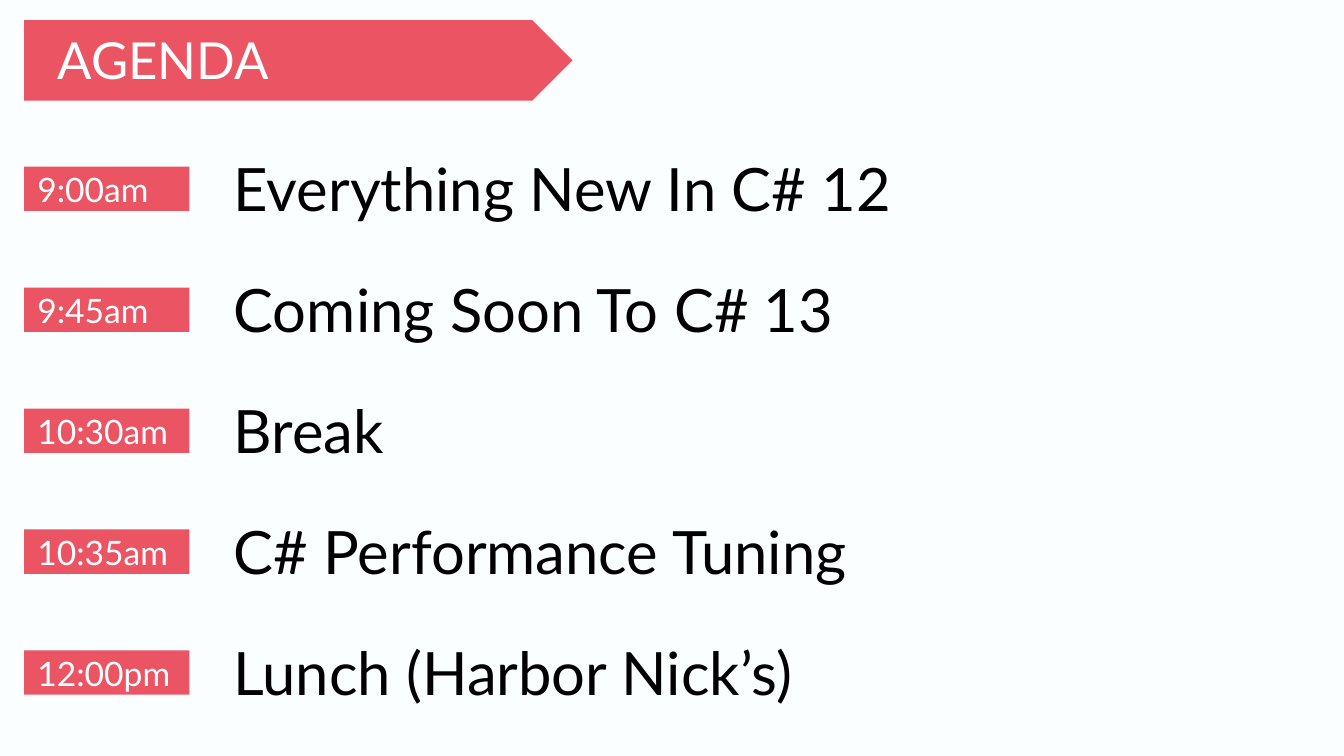
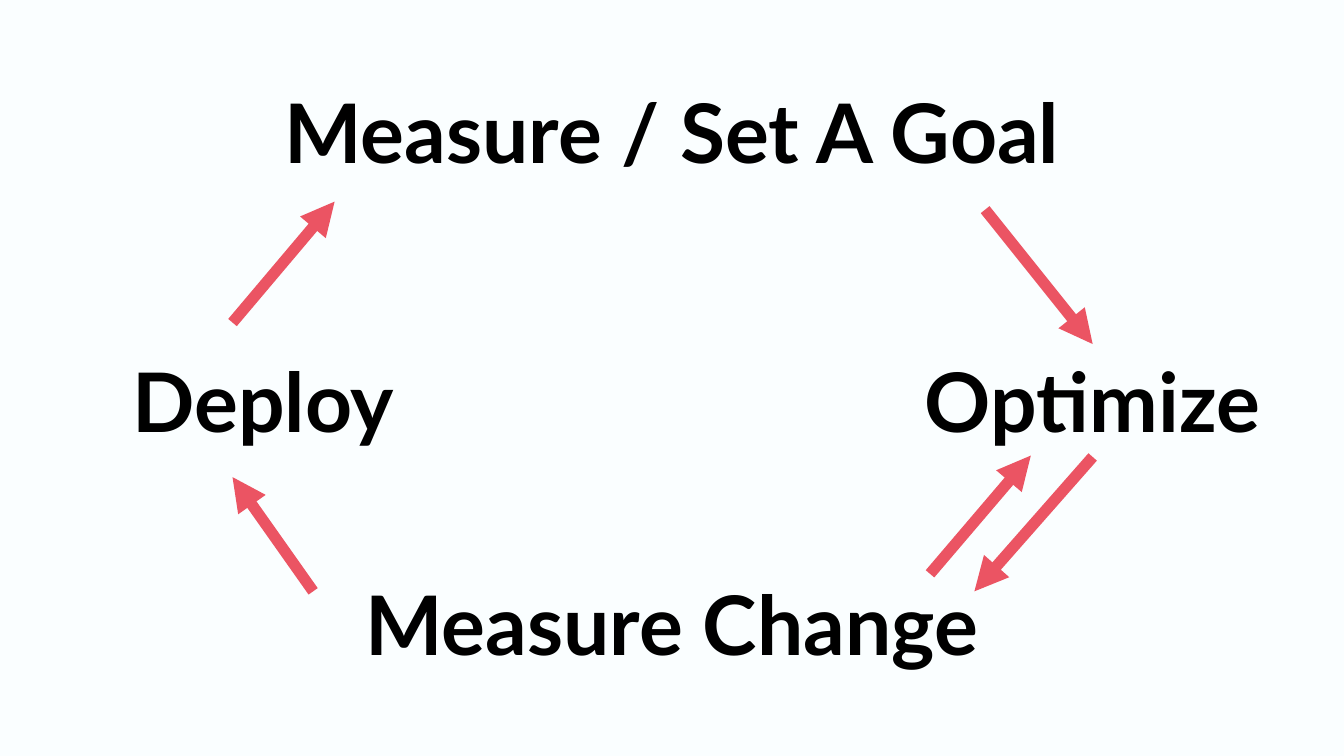
from lxml import etree
from pptx import Presentation
from pptx.dml.color import RGBColor
from pptx.enum.shapes import MSO_CONNECTOR, MSO_SHAPE
from pptx.enum.text import MSO_ANCHOR, MSO_AUTO_SIZE, PP_ALIGN
from pptx.oxml.ns import qn
from pptx.util import Inches, Pt

# Shared look
ACCENT = "EB5463"
BACKGROUND = "FAFEFF"
BLACK = "000000"
WHITE = "FFFFFF"
FONT = "Lato"

# Layout indexes in the default template
TITLE_ONLY, BLANK = 5, 6

# Connection sites of a rectangle
TOP, BOTTOM = 0, 2

AGENDA = [
    ("9:00am", "Everything New In C# 12"),
    ("9:45am", "Coming Soon To C# 13"),
    ("10:30am", "Break"),
    ("10:35am", "C# Performance Tuning"),
    ("12:00pm", "Lunch (Harbor Nick’s)"),
]
ROW_PITCH = 0.9


def color(hex_string):
    return RGBColor.from_string(hex_string)


def write_text(shape, text, size, font_color, align=PP_ALIGN.LEFT,
               anchor=MSO_ANCHOR.TOP, bold=False):
    frame = shape.text_frame
    frame.text = text
    frame.word_wrap = True
    frame.vertical_anchor = anchor
    paragraph = frame.paragraphs[0]
    paragraph.alignment = align
    font = paragraph.font
    font.name = FONT
    font.size = Pt(size)
    font.bold = bold
    font.color.rgb = color(font_color)


def add_block(slide, kind, left, top, width, height):
    """Add a plain accent-coloured shape."""
    block = slide.shapes.add_shape(
        kind, Inches(left), Inches(top), Inches(width), Inches(height))
    block.shadow.inherit = False
    block.fill.solid()
    block.fill.fore_color.rgb = color(ACCENT)
    block.line.fill.background()
    return block


def add_label(slide, text, left, top, width, height, size, **style):
    label = slide.shapes.add_textbox(
        Inches(left), Inches(top), Inches(width), Inches(height))
    write_text(label, text, size, BLACK, **style)
    label.text_frame.auto_size = MSO_AUTO_SIZE.SHAPE_TO_FIT_TEXT
    return label


def add_title_banner(slide, text):
    """Place the title on an arrow-shaped band."""
    title = slide.shapes.title
    title.left, title.top = Inches(0.33), Inches(0.14)
    title.width, title.height = Inches(3.93), Inches(0.6)
    write_text(title, text, 27.3, WHITE, anchor=MSO_ANCHOR.MIDDLE)
    title.text_frame.auto_size = MSO_AUTO_SIZE.NONE
    banner = add_block(slide, MSO_SHAPE.PENTAGON, 0.18, 0.15, 4.08, 0.6)
    title._element.addprevious(banner._element)  # band behind the title


def add_agenda_row(slide, top, time, topic):
    add_label(slide, topic, 1.64, top, 5.11, 0.64, 32)
    tag = add_block(slide, MSO_SHAPE.RECTANGLE, 0.18, top + 0.16, 1.23, 0.33)
    write_text(tag, time, 18, WHITE, anchor=MSO_ANCHOR.MIDDLE)


def add_step(slide, text, left, top, width):
    return add_label(slide, text, left, top, width, 0.84, 44,
                     align=PP_ALIGN.CENTER, bold=True)


def add_arrow(slide, start, end):
    points = [Inches(value) for value in (*start, *end)]
    arrow = slide.shapes.add_connector(MSO_CONNECTOR.STRAIGHT, *points)
    arrow.line.color.rgb = color(ACCENT)
    arrow.line.width = Pt(6)
    line = arrow.line._get_or_add_ln()
    etree.SubElement(line, qn("a:tailEnd"), type="triangle")
    etree.SubElement(arrow._element.spPr, qn("a:effectLst"))
    return arrow


def build_agenda(presentation):
    slide = presentation.slides.add_slide(
        presentation.slide_layouts[TITLE_ONLY])
    add_title_banner(slide, "AGENDA")
    for row, (time, topic) in enumerate(AGENDA):
        add_agenda_row(slide, 1.08 + row * ROW_PITCH, time, topic)


def build_cycle(presentation):
    slide = presentation.slides.add_slide(presentation.slide_layouts[BLANK])

    # Steps of the cycle
    add_step(slide, "Measure / Set A Goal", 1.79, 0.56, 6.42)
    optimize = add_step(slide, "Optimize", 5.92, 2.56, 4.42)
    add_step(slide, "Measure Change", 1.96, 4.22, 6.08)
    add_step(slide, "Deploy", -0.25, 2.56, 4.42)

    # Arrows, clockwise from the goal, then the way back to Optimize
    goal_to_optimize = add_arrow(slide, (7.33, 1.56), (8.13, 2.56))
    goal_to_optimize.end_connect(optimize, TOP)
    optimize_to_change = add_arrow(slide, (8.13, 3.4), (7.25, 4.4))
    optimize_to_change.begin_connect(optimize, BOTTOM)
    add_arrow(slide, (2.33, 4.4), (1.73, 3.55))
    add_arrow(slide, (1.73, 2.4), (2.49, 1.5))
    add_arrow(slide, (6.92, 4.27), (7.67, 3.39))


def main():
    presentation = Presentation()
    presentation.slide_width = Inches(10)
    presentation.slide_height = Inches(10) * 9 // 16  # widescreen
    background = presentation.slide_master.background.fill
    background.solid()
    background.fore_color.rgb = color(BACKGROUND)

    build_agenda(presentation)
    build_cycle(presentation)
    presentation.save("out.pptx")


if __name__ == "__main__":
    main()
